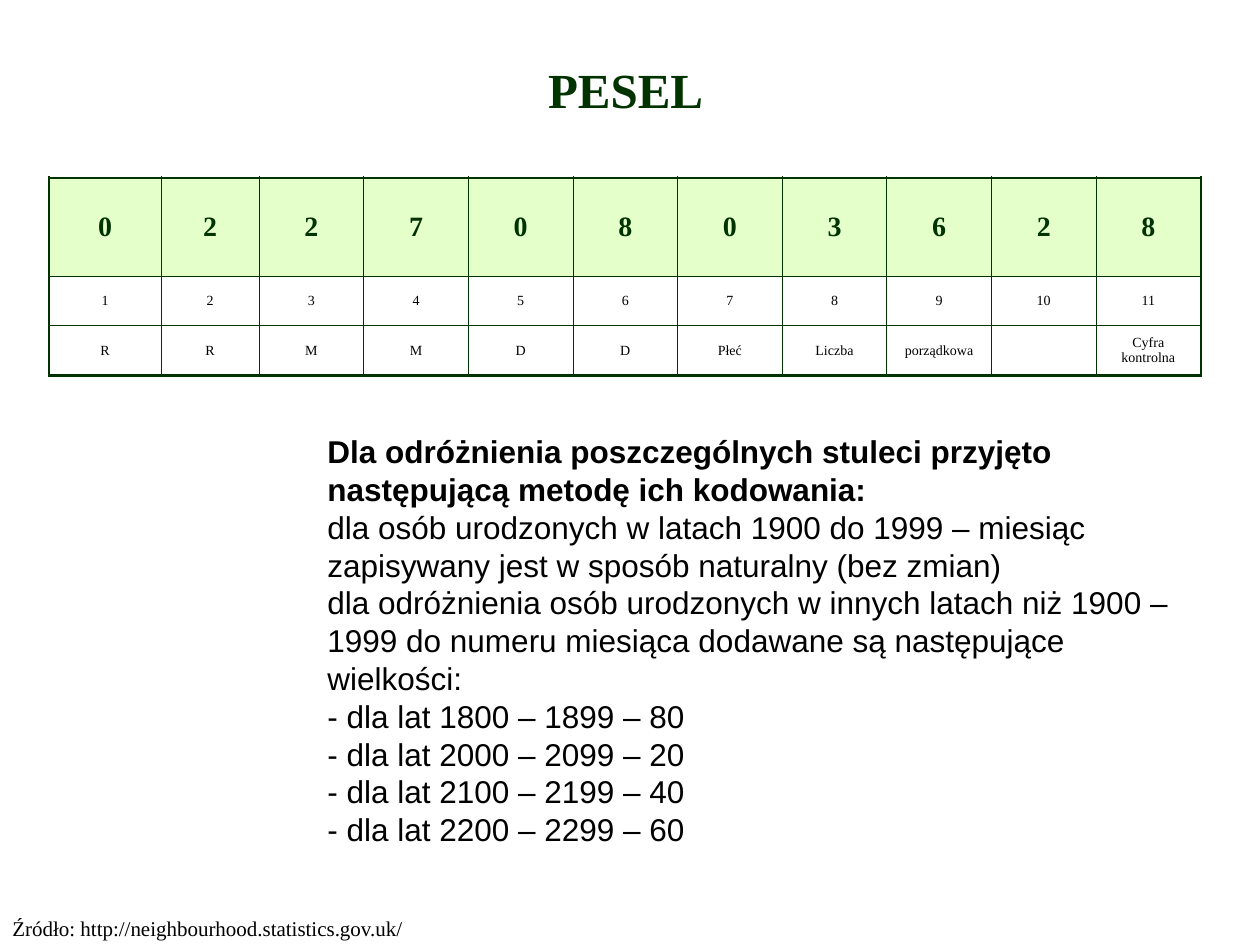
"""Build the slide that explains the PESEL number and its century coding."""
import pptx
import pptx.util
import pptx.dml.color
import pptx.enum.text
import pptx.oxml.ns
import lxml.etree
from dataclasses import dataclass

Pt = pptx.util.Pt
Align = pptx.enum.text.PP_ALIGN
Anchor = pptx.enum.text.MSO_ANCHOR


@dataclass(frozen=True)
class Theme:
    green: str = "003300"
    black: str = "000000"
    digit_fill: str = "CCFF99"
    digit_alpha: int = 50000
    serif: str = "Times New Roman"
    sans: str = "Arial"
    title_size: float = 28
    digit_size: float = 16
    label_size: float = 8
    body_size: float = 18
    source_size: float = 12
    outer_line: float = 1.47
    inner_line: float = 0.45


THEME = Theme()
TITLE = "PESEL"
SOURCE = "Źródło: http://neighbourhood.statistics.gov.uk/"
DIGITS = list("02270803628")
POSITIONS = [str(number) for number in range(1, len(DIGITS) + 1)]
MEANINGS = ["R", "R", "M", "M", "D", "D", "Płeć", "Liczba", "porządkowa", "", "Cyfra kontrolna"]
BODY = [
    (True, ["Dla odróżnienia poszczególnych stuleci przyjęto następującą metodę ich kodowania:"]),
    (False, ["dla osób urodzonych w latach 1900 do 1999 – miesiąc zapisywany jest w sposób naturalny (bez zmian)"]),
    (False, [
        "dla odróżnienia osób urodzonych w innych latach niż 1900 – 1999 do numeru miesiąca "
        "dodawane są następujące wielkości:",
        "- dla lat 1800 – 1899 – 80",
        "- dla lat 2000 – 2099 – 20",
        "- dla lat 2100 – 2199 – 40",
        "- dla lat 2200 – 2299 – 60",
    ]),
]
COLUMN_WIDTHS = [64, 56] + [59.8] * 9
ROW_HEIGHTS = [56.2, 28.1, 28.1]


def add_run(paragraph, text, size, font_name, color, bold=False):
    """Append one formatted run."""
    run = paragraph.add_run()
    run.text = text
    run.font.size = Pt(size)
    run.font.name = font_name
    run.font.bold = bold
    run.font.color.rgb = pptx.dml.color.RGBColor.from_string(color)


def add_text_frame(slide, left, top, width, height, anchor=Anchor.TOP):
    """Add a wrapping text box and return its text frame."""
    box = slide.shapes.add_textbox(Pt(left), Pt(top), Pt(width), Pt(height))
    box.text_frame.word_wrap = True
    box.text_frame.vertical_anchor = anchor
    return box.text_frame


def add_child(parent, tag, **attributes):
    """Append a DrawingML element."""
    return lxml.etree.SubElement(parent, pptx.oxml.ns.qn(tag), **attributes)


def set_borders(cell, outer_sides):
    """Draw thick lines on the outer sides and thin lines on the others."""
    properties = cell._tc.get_or_add_tcPr()
    for side in "LRTB":
        width = THEME.outer_line if side in outer_sides else THEME.inner_line
        line = add_child(properties, f"a:ln{side}", w=str(int(Pt(width))))
        add_child(add_child(line, "a:solidFill"), "a:srgbClr", val=THEME.green)


def fill_digit_cell(cell):
    """Give a cell the translucent digit fill."""
    fill = add_child(cell._tc.get_or_add_tcPr(), "a:solidFill")
    color = add_child(fill, "a:srgbClr", val=THEME.digit_fill)
    add_child(color, "a:alpha", val=str(THEME.digit_alpha))


def add_number_table(slide):
    """Add the table of digits, positions and meanings."""
    rows = [DIGITS, POSITIONS, MEANINGS]
    last_row, last_column = len(rows) - 1, len(DIGITS) - 1
    table = slide.shapes.add_table(
        len(rows), len(DIGITS), Pt(28.1), Pt(101.5), Pt(sum(COLUMN_WIDTHS)), Pt(sum(ROW_HEIGHTS))
    ).table
    table.first_row = table.horz_banding = False
    for column, width in zip(table.columns, COLUMN_WIDTHS):
        column.width = Pt(width)
    for row, height in zip(table.rows, ROW_HEIGHTS):
        row.height = Pt(height)
    for row_index, texts in enumerate(rows):
        is_digit = row_index == 0
        for column_index, text in enumerate(texts):
            cell = table.cell(row_index, column_index)
            cell.vertical_anchor = Anchor.MIDDLE
            edges = {"L": column_index == 0, "R": column_index == last_column,
                     "T": row_index == 0, "B": row_index == last_row}
            set_borders(cell, [side for side, is_outer in edges.items() if is_outer])
            paragraph = cell.text_frame.paragraphs[0]
            paragraph.alignment = Align.CENTER
            if is_digit:
                fill_digit_cell(cell)
                add_run(paragraph, text, THEME.digit_size, THEME.serif, THEME.green, True)
            else:
                cell.fill.background()
                add_run(paragraph, text, THEME.label_size, THEME.serif, THEME.black)


def add_body(slide):
    """Add the explanation of the century coding."""
    frame = add_text_frame(slide, 180, 243.4, 497.5, 266.4)
    for index, (bold, lines) in enumerate(BODY):
        paragraph = frame.add_paragraph() if index else frame.paragraphs[0]
        for line_index, line in enumerate(lines):
            if line_index:
                paragraph.add_line_break()
            add_run(paragraph, line, THEME.body_size, THEME.sans, THEME.black, bold)


def main():
    """Assemble and save the slide."""
    presentation = pptx.Presentation()
    presentation.slide_width, presentation.slide_height = Pt(720), Pt(540)
    slide = presentation.slides.add_slide(presentation.slide_layouts[6])

    title = add_text_frame(slide, 25.2, 20.2, 664.6, 71.3, Anchor.MIDDLE).paragraphs[0]
    title.alignment = Align.CENTER
    title.line_spacing = 0.6
    add_run(title, TITLE, THEME.title_size, THEME.serif, THEME.green, True)

    source = add_text_frame(slide, 0, 519.8, 382.3, 21.6).paragraphs[0]
    add_run(source, SOURCE, THEME.source_size, THEME.serif, THEME.black)

    add_body(slide)
    add_number_table(slide)
    presentation.save("out.pptx")


if __name__ == "__main__":
    main()
